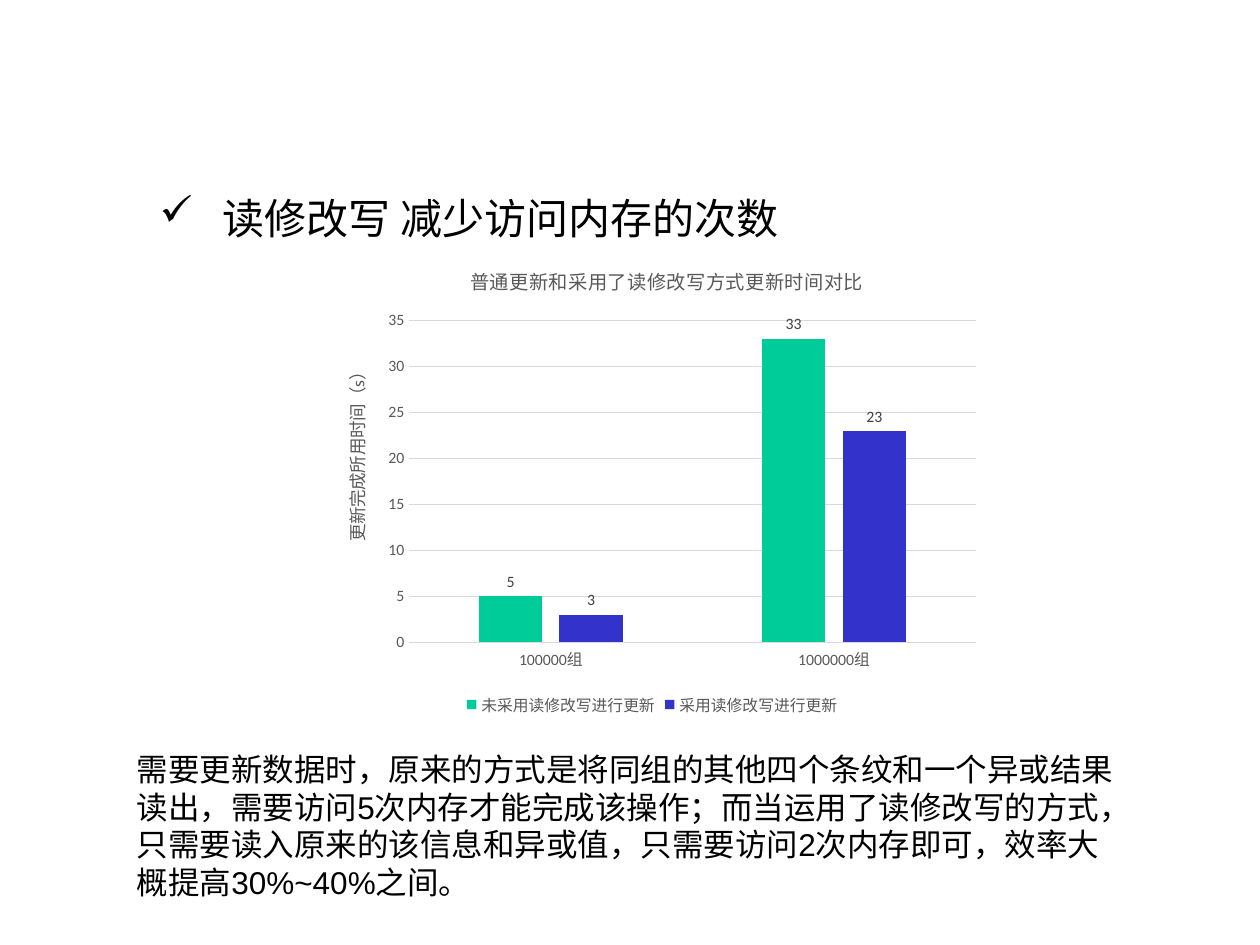
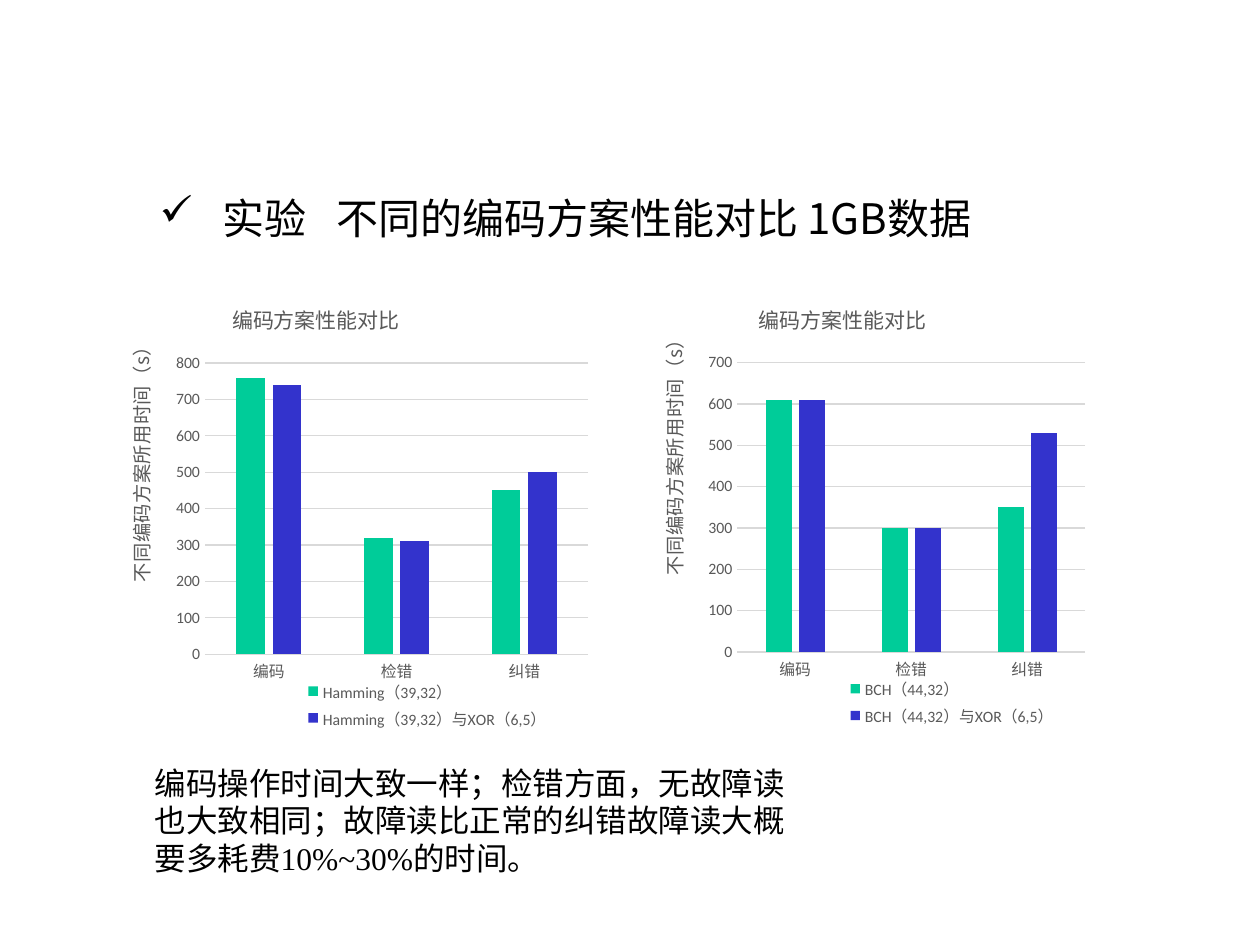
from dataclasses import dataclass
from typing import Optional

from lxml import etree
from pptx import Presentation
from pptx import util as u
from pptx.chart import data
from pptx.dml import color
from pptx.enum import chart as ch
from pptx.enum import text as tx
from pptx.oxml import ns

BLACK, GREY, DARK, GRID = "000000", "595959", "404040", "D9D9D9"
SERIES_COLOURS = ("00CC99", "3333CC")
CJK = "Noto Sans CJK SC"
LATIN = "Calibri"


@dataclass(frozen=True)
class Box:
    left: float
    top: float
    width: float
    height: float

    def lengths(self) -> list:
        return [u.Cm(v) for v in (self.left, self.top, self.width, self.height)]


@dataclass(frozen=True)
class Comparison:
    box: Box
    title: str
    axis_title: str
    categories: tuple
    series: dict
    top_value: int
    step: int
    plot_at: tuple
    title_at: tuple
    axis_title_at: tuple
    legend_at: Optional[tuple] = None
    title_size: int = 12
    axis_size: int = 11
    title_font: str = CJK
    value_labels: bool = False


def rgb(code: str) -> color.RGBColor:
    return color.RGBColor.from_string(code)


def set_font(font, size: float, colour: str, name: str) -> None:
    font.size = u.Pt(size)
    font.bold = False
    font.name = name
    font.color.rgb = rgb(colour)


def add_text(slide, box: Box, wording: str, *, size: float = 18, font: str = CJK,
             colour: str = BLACK, bullet: str = "", spacing: float = 1.0,
             tab: float = 0) -> None:
    frame = slide.shapes.add_textbox(*box.lengths()).text_frame
    frame.word_wrap = True
    frame.auto_size = tx.MSO_AUTO_SIZE.SHAPE_TO_FIT_TEXT
    paragraph = frame.paragraphs[0]
    paragraph.line_spacing = spacing
    run = paragraph.add_run()
    run.text = wording
    set_font(run.font, size, colour, font)
    etree.SubElement(run.font._element, ns.qn("a:ea"), typeface=CJK)
    props = paragraph._p.get_or_add_pPr()
    if bullet:
        props.set("marL", str(u.Cm(1.98)))
        props.set("indent", str(-u.Cm(1.27)))
        etree.SubElement(props, ns.qn("a:buChar"), char=bullet)
    if tab:
        stops = etree.SubElement(props, ns.qn("a:tabLst"))
        etree.SubElement(stops, ns.qn("a:tab"), pos=str(u.Cm(tab)), algn="l")


def add_heading(slide, wording: str, tab: float = 0) -> None:
    add_text(slide, Box(2.26, 3.25, 21.67, 3.33), wording, size=24,
             bullet="✓", spacing=1.5, tab=tab)


def place(chart, query: str, index: int, position: tuple) -> None:
    part = chart.element.xpath(query)[0]
    for old in part.findall(ns.qn("c:layout")):
        part.remove(old)
    layout = etree.Element(ns.qn("c:layout"))
    manual = etree.SubElement(layout, ns.qn("c:manualLayout"))
    settings = {"layoutTarget": "inner"} if query.endswith("plotArea") else {}
    settings |= {"xMode": "edge", "yMode": "edge"}
    settings |= dict(zip("xywh", position))
    for tag, value in settings.items():
        etree.SubElement(manual, ns.qn(f"c:{tag}"), val=str(value))
    part.insert(index, layout)


def write_title(title, wording: str, size: float, font: str) -> None:
    run = title.text_frame.paragraphs[0].add_run()
    run.text = wording
    set_font(run.font, size, GREY, font)


def style_axes(chart, item: Comparison) -> None:
    for axis in (chart.category_axis, chart.value_axis):
        axis.major_tick_mark = axis.minor_tick_mark = ch.XL_TICK_MARK.NONE
        set_font(axis.tick_labels.font, 9, GREY, LATIN)
    values = chart.value_axis
    values.minimum_scale, values.maximum_scale = 0, item.top_value
    values.major_unit = item.step
    values.format.line.fill.background()
    values.has_major_gridlines = True
    for line in (chart.category_axis.format.line, values.major_gridlines.format.line):
        line.color.rgb = rgb(GRID)
        line.width = u.Pt(0.75)
    write_title(values.axis_title, item.axis_title, item.axis_size, item.title_font)
    body = values.axis_title.text_frame._txBody.bodyPr
    body.set("rot", "-5400000")
    body.set("vert", "horz")


def style_bars(plot, value_labels: bool) -> None:
    plot.gap_width, plot.overlap = 219, -27
    plot.vary_by_categories = False
    for bars, colour in zip(plot.series, SERIES_COLOURS):
        bars.format.fill.solid()
        bars.format.fill.fore_color.rgb = rgb(colour)
        bars.invert_if_negative = False
        if value_labels:
            labels = bars.data_labels
            labels.show_value = True
            labels.position = ch.XL_LABEL_POSITION.OUTSIDE_END
            set_font(labels.font, 9, DARK, LATIN)


def add_comparison(slide, item: Comparison) -> None:
    figures = data.CategoryChartData()
    figures.categories = item.categories
    for name, values in item.series.items():
        figures.add_series(name, values)
    chart = slide.shapes.add_chart(
        ch.XL_CHART_TYPE.COLUMN_CLUSTERED, *item.box.lengths(), figures).chart
    set_font(chart.font, 10, BLACK, LATIN)
    chart.has_title = True
    write_title(chart.chart_title, item.title, item.title_size, item.title_font)
    chart.has_legend = True
    chart.legend.position = ch.XL_LEGEND_POSITION.BOTTOM
    chart.legend.include_in_layout = False
    set_font(chart.legend.font, 9, GREY, LATIN)
    style_axes(chart, item)
    style_bars(chart.plots[0], item.value_labels)
    place(chart, "c:chart/c:title", 1, item.title_at)
    place(chart, ".//c:valAx/c:title", 1, item.axis_title_at)
    place(chart, ".//c:plotArea", 0, item.plot_at)
    if item.legend_at:
        place(chart, ".//c:legend", 1, item.legend_at)


UPDATE_TIMES = Comparison(
    Box(6.35, 4.98, 13.59, 9.55),
    "普通更新和采用了读修改写方式更新时间对比", "更新完成所用时间（s）",
    ("100000组", "1000000组"),
    {"未采用读修改写进行更新": (5, 33), "采用读修改写进行更新": (3, 23)},
    35, 5, (0.14, 0.155, 0.84, 0.68), (0.225, 0.03), (0.036, 0.24),
    title_size=11, axis_size=10, title_font=LATIN, value_labels=True)

CODING = {"title": "编码方案性能对比", "axis_title": "不同编码方案所用时间（s）",
          "categories": ("编码", "检错", "纠错"), "step": 100}
CODING_TIMES = (
    Comparison(
        Box(2.06, 5.77, 10.01, 9.02), **CODING, top_value=800,
        series={"Hamming（39,32）": (760, 320, 450),
                "Hamming（39,32）与XOR（6,5）": (740, 310, 500)},
        plot_at=(0.207, 0.172, 0.772, 0.651), title_at=(0.254, 0.025),
        axis_title_at=(0.038, 0.105), legend_at=(0.31, 0.87, 0.69, 0.13)),
    Comparison(
        Box(12.8, 5.77, 9.25, 8.97), **CODING, top_value=700,
        series={"BCH（44,32）": (610, 300, 350),
                "BCH（44,32）与XOR（6,5）": (610, 300, 530)},
        plot_at=(0.223, 0.172, 0.758, 0.65), title_at=(0.262, 0.025),
        axis_title_at=(0.043, 0.09), legend_at=(0.386, 0.87, 0.61, 0.13)),
)


def build_update_slide(slide) -> None:
    add_heading(slide, "读修改写 减少访问内存的次数")
    add_comparison(slide, UPDATE_TIMES)
    add_text(slide, Box(2.51, 14.99, 20.37, 3.33),
             "需要更新数据时，原来的方式是将同组的其他四个条纹和一个异或结果读出，"
             "需要访问5次内存才能完成该操作；而当运用了读修改写的方式，"
             "只需要读入原来的该信息和异或值，只需要访问2次内存即可，"
             "效率大概提高30%~40%之间。", font="Arial")


def build_coding_slide(slide) -> None:
    add_heading(slide, "实验\t不同的编码方案性能对比 1GB数据", tab=4.27)
    for item in CODING_TIMES:
        add_comparison(slide, item)
    add_text(slide, Box(2.87, 15.27, 13.36, 2.57),
             "编码操作时间大致一样；检错方面，无故障读也大致相同；"
             "故障读比正常的纠错故障读大概要多耗费10%~30%的时间。",
             font="Times New Roman")


def main() -> None:
    deck = Presentation()
    deck.slide_width, deck.slide_height = u.Cm(25.4), u.Cm(19.05)
    for build in (build_update_slide, build_coding_slide):
        build(deck.slides.add_slide(deck.slide_layouts[6]))
    deck.save("out.pptx")


main()
